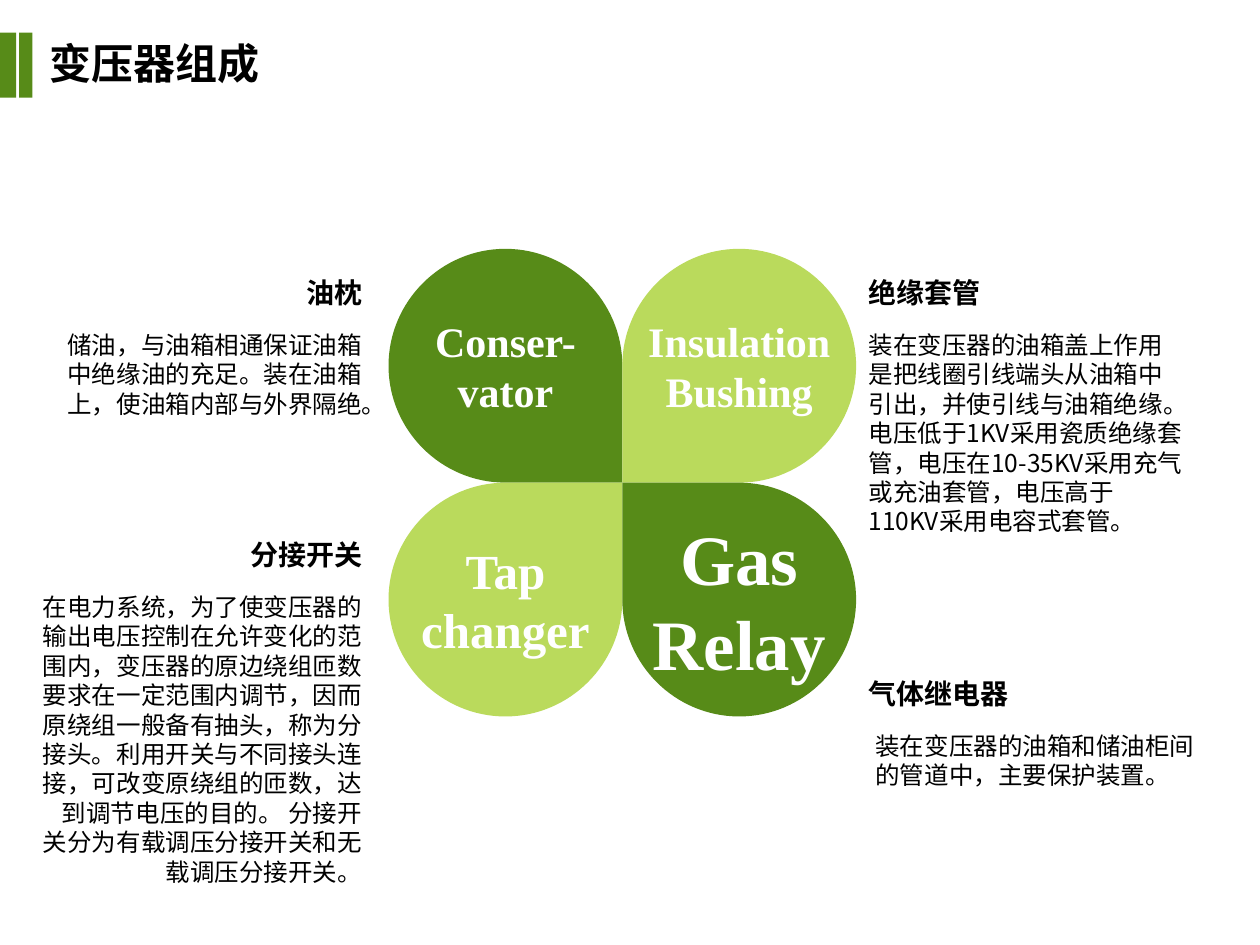
from lxml.etree import SubElement
from pptx import Presentation
from pptx.dml.color import RGBColor
from pptx.enum.shapes import MSO_SHAPE
from pptx.enum.text import MSO_ANCHOR, MSO_AUTO_SIZE, PP_ALIGN
from pptx.oxml.ns import qn
from pptx.util import Pt

# Content
TITLE = "变压器组成"

# label, label size, column side, row side, colour
PETALS = [
    ("Conser-vator", 24, -1, -1, "dark"),
    ("Insulation Bushing", 24, 1, -1, "light"),
    ("Tap changer", 28, -1, 1, "light"),
    ("Gas Relay", 40.5, 1, 1, "dark"),
]

# heading, body, column side, top, heading width, body width, body lines, body indent
NOTES = [
    ("油枕", "储油，与油箱相通保证油箱中绝缘油的充足。装在油箱上，使油箱内部与外界隔绝。",
     -1, 154, 96.5, 193.7, 3, 0),
    ("分接开关",
     "在电力系统，为了使变压器的输出电压控制在允许变化的范围内，变压器的原边绕组匝数"
     "要求在一定范围内调节，因而原绕组一般备有抽头，称为分接头。利用开关与不同接头连接，"
     "可改变原绕组的匝数，达到调节电压的目的。 分接开关分为有载调压分接开关和无载调压分接开关。",
     -1, 303.7, 87.8, 197.3, 10, 0),
    ("绝缘套管",
     "装在变压器的油箱盖上作用是把线圈引线端头从油箱中引出，并使引线与油箱绝缘。"
     "电压低于1KV采用瓷质绝缘套管，电压在10-35KV采用充气或充油套管，"
     "电压高于110KV采用电容式套管。",
     1, 154, 95.8, 193.7, 7, 0),
    ("气体继电器", "装在变压器的油箱和储油柜间的管道中，主要保护装置。",
     1, 383, 123.8, 197.3, 2, 4),
]

THEME = {
    "dark": RGBColor.from_string("578B18"),
    "light": RGBColor.from_string("BADA5C"),
    "white": RGBColor.from_string("FFFFFF"),
    "black": RGBColor.from_string("000000"),
    "chinese": "Noto Sans CJK SC",
    "latin": "Times New Roman",
    "title": 24,
    "heading": 16,
    "body": 14,
    "leading": 1.2,
}

# Layout, in points
CENTRE_X, CENTRE_Y, RADIUS = 355.6, 275.8, 66.8
ROUNDNESS = 0.55  # control distance of a quarter circle
NOTE_EDGE = {-1: 214.1, 1: 489.2}
BODY_DROP, INSETS = 31, 7.2
BARS = [(0, 9.3), (10.9, 7.7)]


def write(shape, text, size, font_name, color, bold, align):
    frame = shape.text_frame
    frame.word_wrap = True
    paragraph = frame.paragraphs[0]
    paragraph.text = text
    paragraph.alignment = align
    font = paragraph.font
    font.size, font.bold, font.name = Pt(size), bold, font_name
    font.color.rgb = color
    properties = paragraph._p.get_or_add_pPr().find(qn("a:defRPr"))
    SubElement(properties, qn("a:ea")).set("typeface", font_name)
    return paragraph


def write_chinese(shape, text, size, bold, align):
    frame = shape.text_frame
    frame.auto_size = MSO_AUTO_SIZE.NONE
    frame.vertical_anchor = MSO_ANCHOR.TOP
    paragraph = write(shape, text, size, THEME["chinese"], THEME["black"], bold, align)
    paragraph.line_spacing = Pt(size * THEME["leading"])


def paint(shape, color):
    shape.shadow.inherit = False
    shape.fill.solid()
    shape.fill.fore_color.rgb = color
    shape.line.fill.background()


def round_corners(shape):
    """Turn each three line points after the first into one curve."""
    lines = list(shape._element.iter(qn("a:lnTo")))[1:]
    for first in range(0, len(lines), 3):
        curve = lines[first]
        curve_points = [point for line in lines[first:first + 3] for point in line]
        bezier = SubElement(curve.getparent(), qn("a:cubicBezTo"))
        curve.addprevious(bezier)
        bezier.extend(curve_points)
        for line in lines[first:first + 3]:
            line.getparent().remove(line)


def add_petal(slide, label, size, column, row, color):
    """A circle with one pointed corner at the centre of the flower."""
    x, y = CENTRE_X + column * RADIUS, CENTRE_Y + row * RADIUS
    k = ROUNDNESS
    outline = [
        (0, -1),
        (k, -1), (1, -k), (1, 0),
        (1, k), (k, 1), (0, 1),
        (-k, 1), (-1, k), (-1, 0),
    ]
    points = [(Pt(x + column * RADIUS * across), Pt(y + row * RADIUS * down))
              for across, down in outline]
    builder = slide.shapes.build_freeform(Pt(CENTRE_X), Pt(CENTRE_Y))
    builder.add_line_segments(points, close=True)
    petal = builder.convert_to_shape()
    round_corners(petal)
    paint(petal, THEME[color])
    petal.text_frame.vertical_anchor = MSO_ANCHOR.MIDDLE
    write(petal, label, size, THEME["latin"], THEME["white"], True, PP_ALIGN.CENTER)


def add_note(slide, heading, body, side, top, heading_width, body_width, lines, indent):
    align = PP_ALIGN.RIGHT if side < 0 else PP_ALIGN.LEFT
    parts = [
        (body, "body", False, top + BODY_DROP, body_width, lines, indent),
        (heading, "heading", True, top, heading_width, 1, 0),
    ]
    for text, style, bold, y, width, count, shift in parts:
        size = THEME[style]
        left = NOTE_EDGE[side] + shift - (width if side < 0 else 0)
        height = count * size * THEME["leading"] + INSETS
        box = slide.shapes.add_textbox(Pt(left), Pt(y), Pt(width), Pt(height))
        write_chinese(box, text, size, bold, align)


def main():
    presentation = Presentation()
    presentation.slide_width, presentation.slide_height = Pt(720), Pt(540)
    slide = presentation.slides.add_slide(presentation.slide_layouts[5])

    # Title and its bars
    title = slide.shapes.title
    title.left, title.top, title.width, title.height = Pt(21.3), Pt(18), Pt(237.6), Pt(36)
    write_chinese(title, TITLE, THEME["title"], True, PP_ALIGN.LEFT)
    for left, width in BARS:
        bar = slide.shapes.add_shape(
            MSO_SHAPE.RECTANGLE, Pt(left), Pt(18.7), Pt(width), Pt(37.2))
        paint(bar, THEME["dark"])

    # Four petals
    for petal in PETALS:
        add_petal(slide, *petal)

    # Notes beside the petals
    for note in NOTES:
        add_note(slide, *note)

    presentation.save("out.pptx")


if __name__ == "__main__":
    main()
